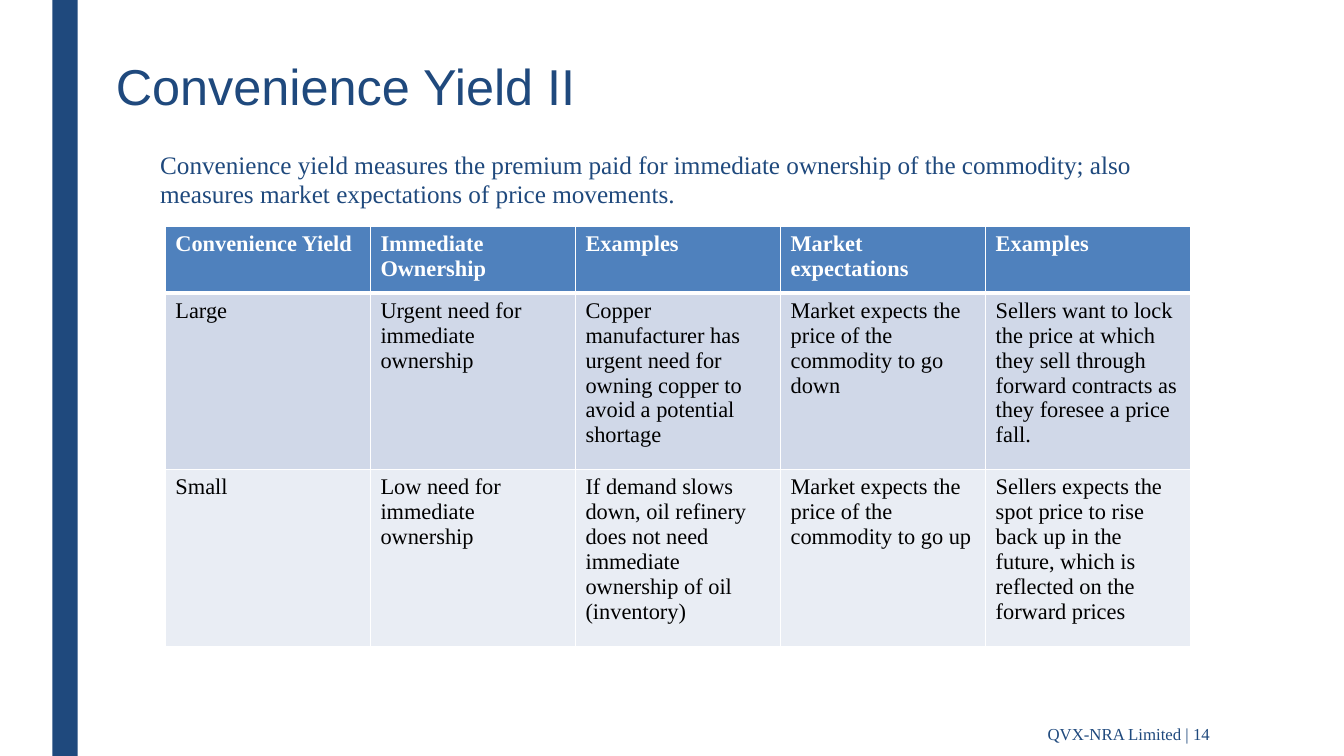
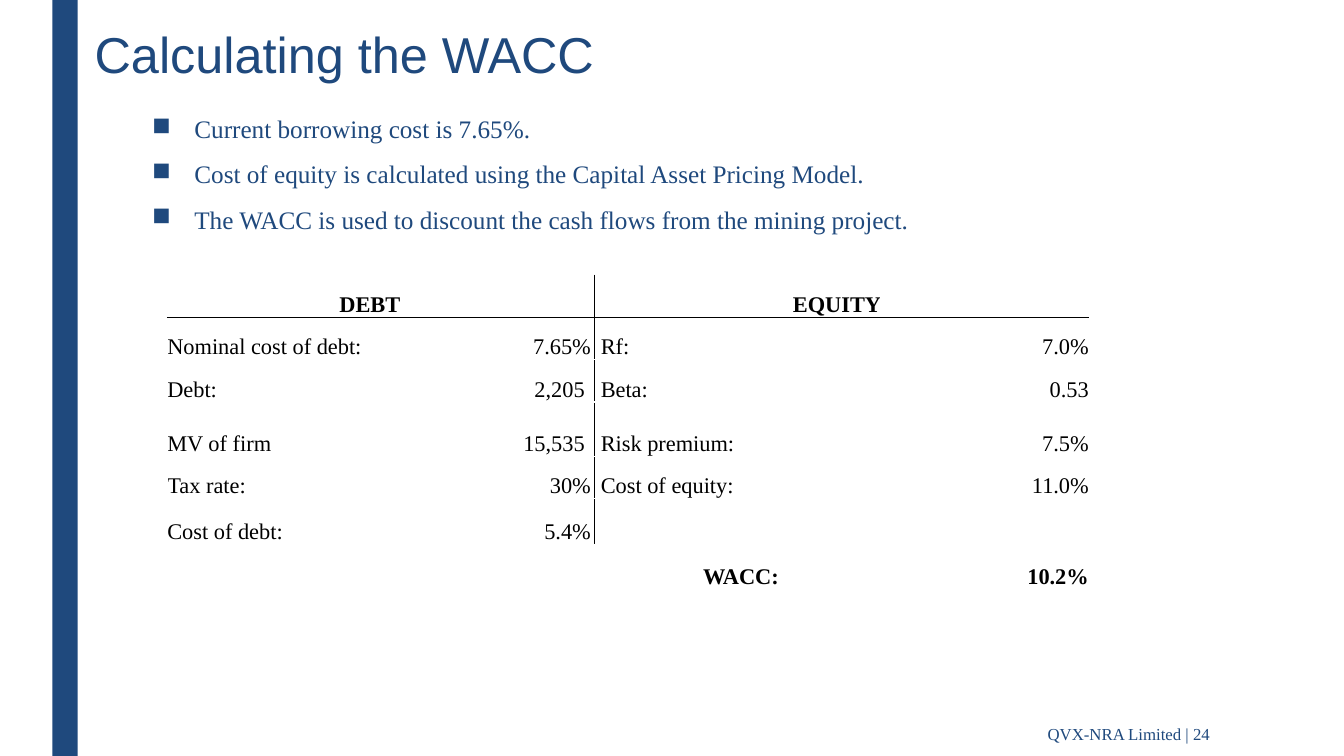
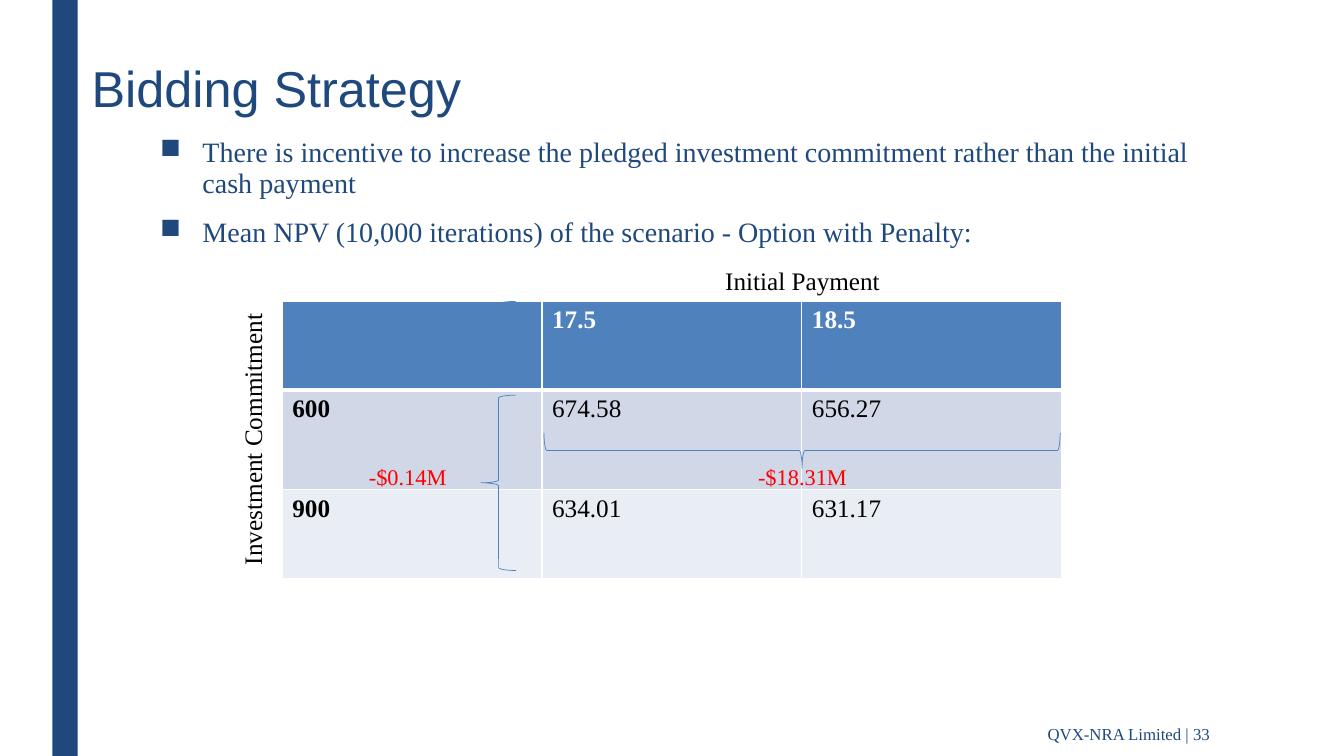
from dataclasses import dataclass

from lxml import etree
from pptx import Presentation
from pptx.dml.color import RGBColor
from pptx.enum import shapes, text
from pptx.oxml import ns
from pptx.util import Inches, Pt


@dataclass(frozen=True)
class Theme:
    """Colours, fonts and type sizes shared by every slide."""

    navy: str = "1F497D"
    blue: str = "4F81BD"
    band_dark: str = "D0D8E8"
    band_light: str = "E9EDF4"
    white: str = "FFFFFF"
    black: str = "000000"
    red: str = "FF0000"
    heading_font: str = "Arial"
    body_font: str = "Times New Roman"
    title_size: int = 36
    lead_size: int = 20
    body_size: int = 18
    cell_size: int = 16
    footer_size: int = 12


THEME = Theme()
COMPANY = "QVX-NRA Limited"
LEFT, CENTER, RIGHT = text.PP_ALIGN.LEFT, text.PP_ALIGN.CENTER, text.PP_ALIGN.RIGHT
TOP, MIDDLE, BOTTOM = text.MSO_ANCHOR.TOP, text.MSO_ANCHOR.MIDDLE, text.MSO_ANCHOR.BOTTOM

YIELD_ROWS = [
    ["Convenience Yield", "Immediate Ownership", "Examples", "Market expectations", "Examples"],
    ["Large", "Urgent need for immediate ownership",
     "Copper manufacturer has urgent need for owning copper to avoid a potential shortage",
     "Market expects the price of the commodity to go down",
     "Sellers want to lock the price at which they sell through forward contracts "
     "as they foresee a price fall."],
    ["Small", "Low need for immediate ownership",
     "If demand slows down, oil refinery does not need immediate ownership of oil (inventory)",
     "Market expects the price of the commodity to go up",
     "Sellers expects the spot price to rise back up in the future, "
     "which is reflected on the forward prices"],
]
WACC_ROWS = [
    ["DEBT", "", "", "EQUITY", ""],
    ["Nominal cost of debt:", "7.65%", "", "Rf:", "7.0%"],
    ["Debt:", "2,205", "", "Beta:", "0.53"],
    ["MV of firm", "15,535", "", "Risk premium:", "7.5%"],
    ["Tax rate:", "30%", "", "Cost of equity:", "11.0%"],
    ["Cost of debt:", "5.4%", "", "", ""],
    ["", "", "", "WACC:", "10.2%"],
]
NPV_ROWS = [["", "17.5", "18.5"], ["600", "674.58", "656.27"], ["900", "634.01", "631.17"]]


def write(frame, lines, size=THEME.body_size, color=THEME.black, font=THEME.body_font,
          bold=False, align=LEFT, spacing=None, bullet=False):
    """Fill a text frame with one formatted paragraph per line."""
    for index, line in enumerate([lines] if isinstance(lines, str) else lines):
        paragraph = frame.add_paragraph() if index else frame.paragraphs[0]
        paragraph.alignment = align
        if bullet:
            properties = paragraph._p.get_or_add_pPr()
            indent = Inches(0.42)
            properties.set("marL", str(indent))
            properties.set("indent", str(-indent))
            etree.SubElement(properties, ns.qn("a:buChar")).set("char", "■")
            paragraph.space_after = Pt(2)
            if index:
                paragraph.space_before = Pt(10)
        if spacing:
            paragraph.line_spacing = spacing
        run = paragraph.add_run()
        run.text = line
        run.font.size, run.font.name, run.font.bold = Pt(size), font, bold
        run.font.color.rgb = RGBColor.from_string(color)


def add_text(slide, box, lines, anchor=TOP, rotation=0, **style):
    """Place a wrapping text box and write its lines."""
    text_box = slide.shapes.add_textbox(*map(Inches, box))
    text_box.rotation = rotation
    text_box.text_frame.word_wrap = True
    text_box.text_frame.vertical_anchor = anchor
    write(text_box.text_frame, lines, **style)


def add_body(slide, box, lines, **style):
    """Place the navy body text of a slide."""
    add_text(slide, box, lines, color=THEME.navy, spacing=0.94, **style)


def start_slide(deck, title, title_box, number):
    """Add a slide with the side band, title and footer."""
    slide = deck.slides.add_slide(deck.slide_layouts[6])
    band = slide.shapes.add_shape(shapes.MSO_SHAPE.RECTANGLE,
                                  *map(Inches, (0.52, 0, 0.25, 7.5)))
    band.shadow.inherit = False
    band.fill.solid()
    band.fill.fore_color.rgb = RGBColor.from_string(THEME.navy)
    band.line.fill.background()
    add_text(slide, title_box, title, size=THEME.title_size, color=THEME.navy,
             font=THEME.heading_font, spacing=0.89)
    add_text(slide, (9.9, 7.06, 2.2, 0.44), f"{COMPANY} | {number}", anchor=MIDDLE,
             size=THEME.footer_size, color=THEME.navy, align=RIGHT)
    return slide


def set_borders(cell, **changes):
    """Draw thin white cell borders, changed per side by (colour, width)."""
    properties = cell._tc.get_or_add_tcPr()
    for position, side in enumerate("LRTB"):
        color, width = changes.get(side, (THEME.white, 1))
        line = etree.Element(ns.qn(f"a:ln{side}"), w=str(Pt(width)))
        fill = etree.SubElement(line, ns.qn("a:solidFill"))
        etree.SubElement(fill, ns.qn("a:srgbClr")).set("val", color)
        properties.insert(position, line)


def new_table(slide, left, top, widths, heights):
    """Add an unbanded table with the given column widths and row heights."""
    table = slide.shapes.add_table(
        len(heights), len(widths), *map(Inches, (left, top, sum(widths), sum(heights)))).table
    table.first_row = table.horz_banding = False
    for column, width in zip(table.columns, widths):
        column.width = Inches(width)
    for row, height in zip(table.rows, heights):
        row.height = Inches(height)
    return table


def add_banded_table(slide, box, rows, heights, size, bold_labels=False):
    """Add a table with a blue header and two tinted rows in equal columns."""
    left, top, width = box
    table = new_table(slide, left, top, [width / len(rows[0])] * len(rows[0]), heights)
    fills = (THEME.blue, THEME.band_dark, THEME.band_light)
    heavy = (THEME.white, 3)
    rules = ({"B": heavy}, {"T": heavy}, {})
    for r, row in enumerate(rows):
        for c, value in enumerate(row):
            cell = table.cell(r, c)
            cell.fill.solid()
            cell.fill.fore_color.rgb = RGBColor.from_string(fills[r])
            set_borders(cell, **rules[r])
            if value:
                write(cell.text_frame, value, size=size,
                      color=THEME.black if r else THEME.white,
                      bold=r == 0 or (bold_labels and c == 0))


def add_wacc_table(slide, left, top):
    """Add the debt and equity ledger with its black cross rules."""
    table = new_table(slide, left, top, (2.31, 1.89, 0.03, 2.84, 2.06),
                      (0.42, 0.42, 0.42, 0.54, 0.42, 0.45, 0.45))
    rule = (THEME.black, 1)
    last = len(WACC_ROWS) - 1
    for r, row in enumerate(WACC_ROWS):
        for c, value in enumerate(row):
            cell = table.cell(r, c)
            cell.fill.background()
            cell.vertical_anchor = BOTTOM
            cell.margin_left = Inches(0.06 if c == 3 else 0)
            cell.margin_right = Inches(0.06 if c == 1 and r in (2, 3) else 0)
            cell.margin_top = cell.margin_bottom = 0
            edges = {0: {"B": rule}, 1: {"T": rule}}.get(r, {}).copy()
            if r < last and c in (2, 3):
                edges["R" if c == 2 else "L"] = rule
            set_borders(cell, **edges)
            if value:
                align = RIGHT if r == 0 or c in (1, 4) else CENTER if r == last else LEFT
                write(cell.text_frame, value, size=THEME.cell_size,
                      bold=r in (0, last), align=align)


def add_brace(slide, kind, box, rotation=0):
    """Draw a thin blue brace."""
    brace = slide.shapes.add_shape(kind, *map(Inches, box))
    brace.shadow.inherit = False
    brace.fill.background()
    brace.line.color.rgb = RGBColor.from_string(THEME.blue)
    brace.line.width = Pt(0.5)
    brace.rotation = rotation


def add_npv_grid(slide, left, top):
    """Add the NPV table with its axis labels, braces and differences."""
    add_banded_table(slide, (left, top, 7.73), NPV_ROWS, (0.88, 0.99, 0.88),
                     THEME.body_size, bold_labels=True)
    left_brace, right_brace = shapes.MSO_SHAPE.LEFT_BRACE, shapes.MSO_SHAPE.RIGHT_BRACE
    add_brace(slide, left_brace, (left + 1.96, top, 0.36, 0.77))
    add_brace(slide, right_brace, (left + 4.98, top - 1.08, 0.35, 5.12), rotation=90)
    add_brace(slide, left_brace, (left + 1.97, top + 0.93, 0.35, 1.74))
    add_text(slide, (left + 2.6, top - 0.41, 5.12, 0.4), "Initial Payment", align=CENTER)
    add_text(slide, (left - 1.69, top + 1.17, 2.78, 0.4), "Investment Commitment",
             rotation=270, align=CENTER)
    for offset, difference in ((4.62, "-$18.31M"), (0.76, "-$0.14M")):
        add_text(slide, (left + offset, top + 1.56, 1.21, 0.37), difference,
                 size=THEME.cell_size, color=THEME.red)


def build_yield_slide(deck):
    """Build the convenience yield slide."""
    slide = start_slide(deck, "Convenience Yield II", (1.05, 0.57, 10.86, 0.76), 14)
    add_body(slide, (1.49, 1.46, 10.5, 0.75),
             "Convenience yield measures the premium paid for immediate ownership of the "
             "commodity; also measures market expectations of price movements.")
    add_banded_table(slide, (1.64, 2.25, 10.17), YIELD_ROWS, (0.66, 1.75, 1.75),
                     THEME.cell_size)


def build_wacc_slide(deck):
    """Build the WACC slide."""
    slide = start_slide(deck, "Calculating the WACC", (0.84, 0.25, 10.53, 0.75), 24)
    add_body(slide, (1.41, 1.1, 10.5, 1.5),
             ["Current borrowing cost is 7.65%.",
              "Cost of equity is calculated using the Capital Asset Pricing Model.",
              "The WACC is used to discount the cash flows from the mining project."],
             bullet=True)
    add_wacc_table(slide, 1.66, 2.73)


def build_bidding_slide(deck):
    """Build the bidding strategy slide."""
    slide = start_slide(deck, "Bidding Strategy", (0.81, 0.59, 10.56, 0.87), 33)
    add_body(slide, (1.49, 1.31, 10.5, 1.25),
             ["There is incentive to increase the pledged investment commitment rather than "
              "the initial cash payment",
              "Mean NPV (10,000 iterations) of the scenario - Option with Penalty:"],
             size=THEME.lead_size, bullet=True)
    add_npv_grid(slide, 2.8, 2.99)


def main():
    """Build and save the deck."""
    deck = Presentation()
    deck.slide_width, deck.slide_height = Inches(13.33), Inches(7.5)
    build_yield_slide(deck)
    build_wacc_slide(deck)
    build_bidding_slide(deck)
    deck.save("out.pptx")


if __name__ == "__main__":
    main()
